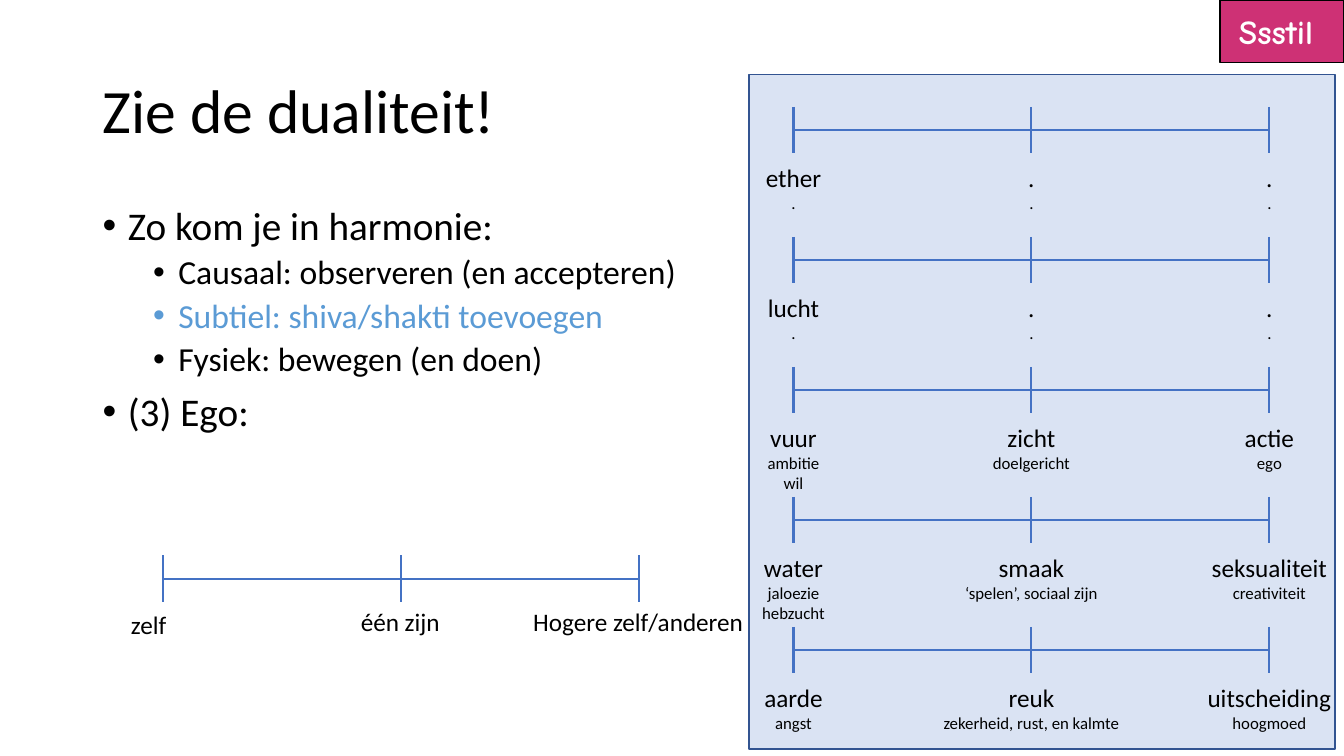
"""Build a slide about duality, with a scale for each element."""
from dataclasses import dataclass
from typing import NamedTuple

from lxml.etree import SubElement
from pptx import Presentation
from pptx.dml.color import RGBColor
from pptx.enum.shapes import MSO_CONNECTOR as Connector, MSO_SHAPE as Shape
from pptx.enum.text import MSO_ANCHOR as Anchor, PP_ALIGN as Align
from pptx.oxml.ns import qn
from pptx.util import Inches, Pt

COLORS = {
    "text": "000000",
    "subtle": "5B9BD5",
    "scale": "4472C4",
    "panel": "DAE3F3",
    "panel_line": "325491",
    "badge": "CE3175",
    "badge_text": "FFFFFF",
}
TICK_OFFSETS = (0, 2.36, 4.72)
TICK_HALF = 0.23
ELEMENT_LEFT = 7.87
ELEMENT_TOP = 1.29
ELEMENT_STEP = 1.29
LABEL_GAP = 0.27


class Bullet(NamedTuple):
    text: str
    level: int = 0
    color: str = "text"


class Label(NamedTuple):
    text: str
    width: float


@dataclass
class EgoLabel:
    text: str
    left: float
    top: float
    width: float


DOT = Label(".\n.", 0.27)
ELEMENTS = (
    (Label("ether\n.", 0.76), DOT, DOT),
    (Label("lucht\n.", 0.72), DOT, DOT),
    (Label("vuur\nambitie\nwil", 0.72), Label("zicht\ndoelgericht", 0.97), Label("actie\nego", 0.7)),
    (
        Label("water\njaloezie\nhebzucht", 0.83),
        Label("smaak\n‘spelen’, sociaal zijn", 1.53),
        Label("seksualiteit\ncreativiteit", 1.36),
    ),
    (
        Label("aarde\nangst", 0.79),
        Label("reuk\nzekerheid, rust, en kalmte", 1.96),
        Label("uitscheiding\nhoogmoed", 1.44),
    ),
)
EGO_LABELS = (
    EgoLabel("zelf", 1.2, 6, 0.56),
    EgoLabel("één zijn", 3.48, 5.97, 1),
    EgoLabel("Hogere zelf/anderen", 5.19, 5.97, 2.31),
)
BULLETS = (
    Bullet("Zo kom je in harmonie:"),
    Bullet("Causaal: observeren (en accepteren)", 1),
    Bullet("Subtiel: shiva/shakti toevoegen", 1, "subtle"),
    Bullet("Fysiek: bewegen (en doen)", 1),
    Bullet("(3) Ego:"),
)


def rgb(name: str) -> RGBColor:
    return RGBColor.from_string(COLORS[name])


def format_runs(paragraph, size: float, color: str = "text", font: str = "Calibri", bold: bool = False) -> None:
    for run in paragraph.runs:
        run.font.size = Pt(size)
        run.font.name = font
        run.font.bold = bold
        run.font.color.rgb = rgb(color)


def add_text(slide, text: str, left: float, top: float, width: float, height: float, wrap: bool = False):
    box = slide.shapes.add_textbox(Inches(left), Inches(top), Inches(width), Inches(height))
    box.text_frame.word_wrap = wrap
    box.text_frame.text = text
    return box.text_frame


def add_rectangle(slide, left: float, top: float, width: float, height: float, fill: str, line: str):
    shape = slide.shapes.add_shape(Shape.RECTANGLE, Inches(left), Inches(top), Inches(width), Inches(height))
    shape.shadow.inherit = False
    shape.fill.solid()
    shape.fill.fore_color.rgb = rgb(fill)
    shape.line.color.rgb = rgb(line)
    shape.line.width = Pt(1)
    return shape


def add_line(slide, x1: float, y1: float, x2: float, y2: float) -> None:
    line = slide.shapes.add_connector(Connector.STRAIGHT, Inches(x1), Inches(y1), Inches(x2), Inches(y2))
    line.line.color.rgb = rgb("scale")
    line.line.width = Pt(1.5)
    SubElement(line._element.spPr, qn("a:effectLst"))


def add_scale(slide, left: float, middle: float) -> None:
    add_line(slide, left, middle, left + TICK_OFFSETS[-1], middle)
    for offset in TICK_OFFSETS:
        add_line(slide, left + offset, middle - TICK_HALF, left + offset, middle + TICK_HALF)


def add_element_label(slide, label: Label, center: float, top: float) -> None:
    height = 0.4 + 0.2 * label.text.count("\n")
    text_frame = add_text(slide, label.text, center - label.width / 2, top, label.width, height)
    for index, paragraph in enumerate(text_frame.paragraphs):
        paragraph.alignment = Align.CENTER
        format_runs(paragraph, 12 if index else 18)


def add_bullets(slide) -> None:
    text = "\n".join(bullet.text for bullet in BULLETS)
    text_frame = add_text(slide, text, 0.92, 2, 11.5, 4.76, wrap=True)
    for paragraph, bullet in zip(text_frame.paragraphs, BULLETS):
        paragraph.level = bullet.level
        paragraph.line_spacing = 0.9
        paragraph.space_before = Pt(5 if bullet.level else 10)
        format_runs(paragraph, 24 if bullet.level else 28, bullet.color)
        properties = paragraph._p.get_or_add_pPr()
        properties.set("marL", str(Inches(0.25 + 0.5 * bullet.level)))
        properties.set("indent", str(Inches(-0.25)))
        SubElement(properties, qn("a:buFont"), typeface="Arial")
        SubElement(properties, qn("a:buChar"), char="•")


def add_title(slide) -> None:
    text_frame = add_text(slide, "Zie de dualiteit!", 0.92, 0.4, 11.5, 1.45, wrap=True)
    text_frame.vertical_anchor = Anchor.MIDDLE
    text_frame.paragraphs[0].line_spacing = 0.9
    format_runs(text_frame.paragraphs[0], 44)


def add_badge(slide) -> None:
    badge = add_rectangle(slide, 12.1, 0, 1.23, 0.62, "badge", "text")
    badge.text_frame.text = "Ssstil "
    badge.text_frame.vertical_anchor = Anchor.MIDDLE
    paragraph = badge.text_frame.paragraphs[0]
    paragraph.alignment = Align.CENTER
    format_runs(paragraph, 24, "badge_text", "Comic Neue", bold=True)


def main() -> None:
    presentation = Presentation()
    presentation.slide_width = Inches(13.33)
    presentation.slide_height = Inches(7.5)
    slide = presentation.slides.add_slide(presentation.slide_layouts[6])

    add_bullets(slide)
    add_rectangle(slide, 7.43, 0.74, 5.81, 6.69, "panel", "panel_line")
    add_title(slide)

    add_scale(slide, 1.62, 5.74)
    for label in EGO_LABELS:
        text_frame = add_text(slide, label.text, label.left, label.top, label.width, 0.4)
        format_runs(text_frame.paragraphs[0], 18)

    for row, labels in enumerate(ELEMENTS):
        middle = ELEMENT_TOP + row * ELEMENT_STEP
        add_scale(slide, ELEMENT_LEFT, middle)
        for label, offset in zip(labels, TICK_OFFSETS):
            add_element_label(slide, label, ELEMENT_LEFT + offset, middle + LABEL_GAP)

    add_badge(slide)
    presentation.save("out.pptx")


if __name__ == "__main__":
    main()
